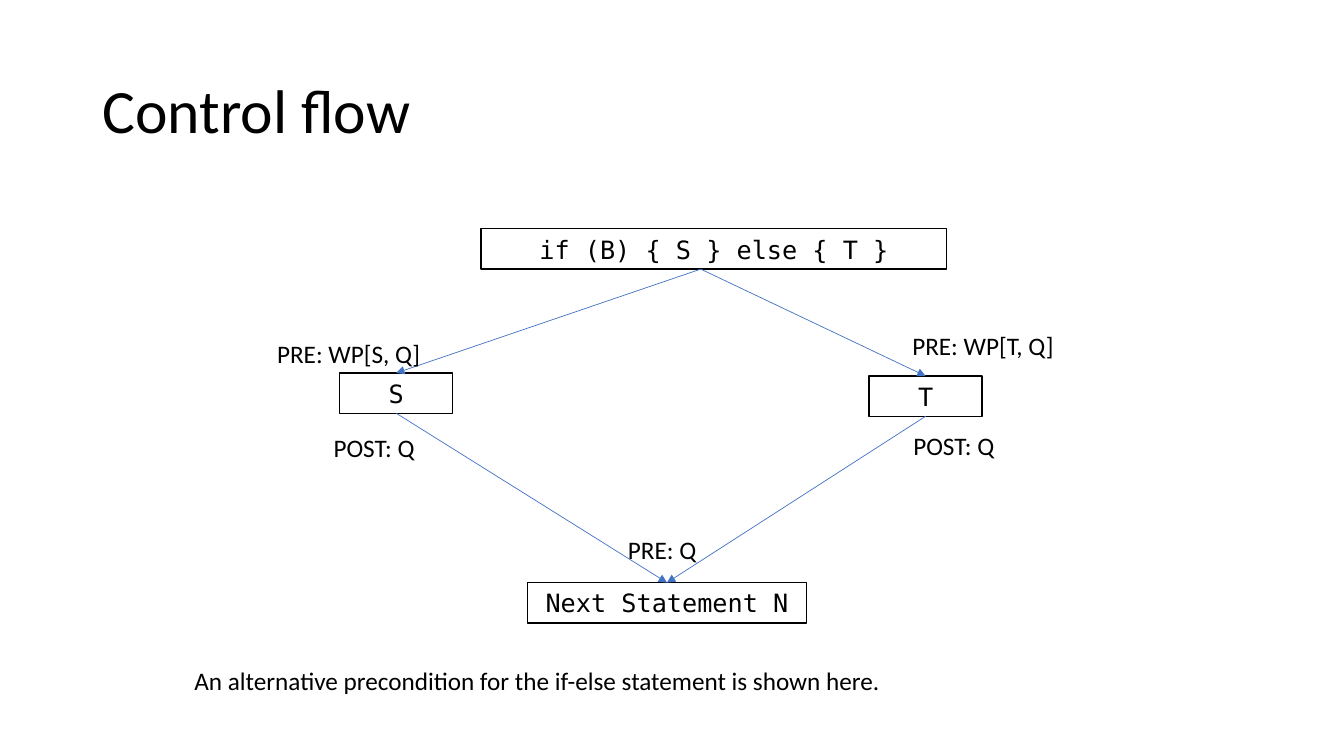
"""Build the control flow slide with its if-else precondition diagram."""
import pptx
import pptx.util
import pptx.dml.color
import pptx.enum.shapes
import pptx.enum.text
import pptx.oxml
import pptx.oxml.ns

Inches = pptx.util.Inches
COLORS = {"text": "000000", "outline": "000000", "arrow": "4472C4"}
BODY_FONT, CODE_FONT = "Calibri", "DejaVu Sans Mono"
ROW_HEIGHT, LABEL_WIDTH = 0.4, 2.46
TOP, BOTTOM = 0, 2

TITLE = ("Control flow", 0.92, 0.4, 11.5, 1.45)
STATEMENTS = {
    "branch": ("if (B) { S } else { T }", 4.77, 2.27, 4.62),
    "then": ("S", 3.37, 3.7, 1.12),
    "else": ("T", 8.62, 3.73, 1.12),
    "next": ("Next Statement N", 5.23, 5.78, 2.77),
}
BRANCH_POINT = (6.95, 2.67)
ARROWS = [("branch", "then"), ("branch", "else"), ("then", "next"), ("else", "next")]
LABELS = [
    ("PRE: Q", 6.13, 5.25, LABEL_WIDTH),
    ("POST: Q", 3.21, 4.24, LABEL_WIDTH),
    ("POST: Q", 8.96, 4.22, LABEL_WIDTH),
    ("PRE: WP[T, Q]", 8.95, 3.23, LABEL_WIDTH),
    ("PRE: WP[S, Q]", 2.65, 3.31, LABEL_WIDTH),
    ("An alternative precondition for the if-else statement is shown here.", 1.83, 6.55, 9.59),
]


def color(name):
    return pptx.dml.color.RGBColor.from_string(COLORS[name])


def write(shape, text, font_name, size=18):
    shape.text_frame.word_wrap = True
    paragraph = shape.text_frame.paragraphs[0]
    paragraph.text = text
    paragraph.font.name = font_name
    paragraph.font.size = pptx.util.Pt(size)
    paragraph.font.color.rgb = color("text")
    return paragraph


def add_label(slide, text, left, top, width, height=ROW_HEIGHT, size=18):
    box = slide.shapes.add_textbox(*map(Inches, (left, top, width, height)))
    return box, write(box, text, BODY_FONT, size)


def add_statement(slide, text, left, top, width):
    shape = slide.shapes.add_shape(
        pptx.enum.shapes.MSO_SHAPE.RECTANGLE, *map(Inches, (left, top, width, ROW_HEIGHT)))
    shape.shadow.inherit = False
    shape.fill.background()
    shape.line.color.rgb = color("outline")
    shape.line.width = pptx.util.Pt(1)
    paragraph = write(shape, text, CODE_FONT)
    paragraph.alignment = pptx.enum.text.PP_ALIGN.CENTER
    return shape


def add_arrow(slide, shapes, source, target):
    start = [Inches(value) for value in BRANCH_POINT]
    arrow = slide.shapes.add_connector(
        pptx.enum.shapes.MSO_CONNECTOR.STRAIGHT, *start, *start)
    if source != "branch":
        arrow.begin_connect(shapes[source], BOTTOM)
    arrow.end_connect(shapes[target], TOP)
    arrow.line.color.rgb = color("arrow")
    arrow.line.width = pptx.util.Pt(0.5)
    line = arrow.line._get_or_add_ln()
    head = pptx.oxml.parse_xml(
        f'<a:tailEnd {pptx.oxml.ns.nsdecls("a")} type="triangle"/>')
    line.append(head)
    effects = pptx.oxml.parse_xml(f'<a:effectLst {pptx.oxml.ns.nsdecls("a")}/>')
    line.addnext(effects)


def main():
    presentation = pptx.Presentation()
    presentation.slide_width = Inches(13.33)
    presentation.slide_height = Inches(7.5)
    slide = presentation.slides.add_slide(presentation.slide_layouts[6])

    title, paragraph = add_label(slide, *TITLE, size=44)
    title.text_frame.vertical_anchor = pptx.enum.text.MSO_ANCHOR.MIDDLE
    paragraph.line_spacing = 0.9

    shapes = {name: add_statement(slide, *item) for name, item in STATEMENTS.items()}
    for source, target in ARROWS:
        add_arrow(slide, shapes, source, target)
    for label in LABELS:
        add_label(slide, *label)
    presentation.save("out.pptx")


if __name__ == "__main__":
    main()
